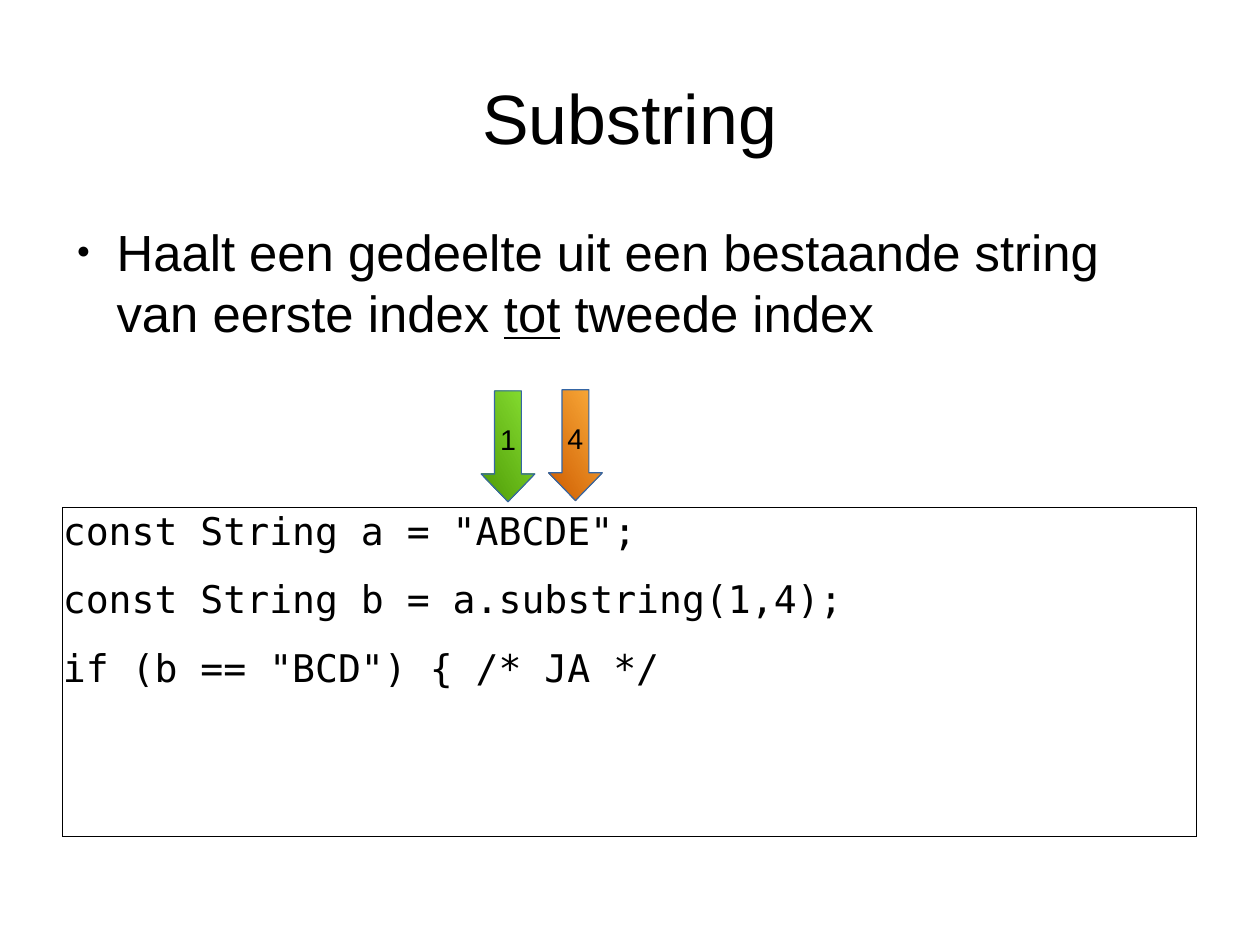
from lxml.etree import SubElement
from pptx import Presentation
from pptx.dml.color import RGBColor
from pptx.enum.shapes import MSO_SHAPE
from pptx.enum.text import MSO_ANCHOR, MSO_AUTO_SIZE, PP_ALIGN
from pptx.oxml.ns import qn
from pptx.util import Cm, Inches, Pt

TITLE = "Substring"
EXPLANATION = [
    ("Haalt een gedeelte uit een bestaande string van eerste index ", False),
    ("tot", True),
    (" tweede index", False),
]
CODE = [
    'const String a = "ABCDE";',
    "const String b = a.substring(1,4);",
    'if (b == "BCD") { /* JA */',
]

BLACK = RGBColor(0x00, 0x00, 0x00)
ARROW_LINE = RGBColor(0x34, 0x65, 0xA4)
GREENS = (RGBColor(0x8A, 0xE2, 0x34), RGBColor(0x4E, 0x9A, 0x06))
ORANGES = (RGBColor(0xFC, 0xAF, 0x3E), RGBColor(0xCE, 0x5C, 0x00))

# label, left, top, gradient colours
INDEX_ARROWS = [("1", 4.21, 3.42, GREENS), ("4", 4.8, 3.41, ORANGES)]

MARGIN, CONTENT_WIDTH = 0.55, 9.92
ARROW_WIDTH, ARROW_HEIGHT = 0.47, 0.97


def place(shape, top, height, anchor):
    """Span the content width and remove the text insets."""
    shape.left, shape.top = Inches(MARGIN), Inches(top)
    shape.width, shape.height = Inches(CONTENT_WIDTH), Inches(height)
    frame = shape.text_frame
    frame.margin_left = frame.margin_right = 0
    frame.margin_top = frame.margin_bottom = 0
    frame.vertical_anchor = anchor
    frame.auto_size = MSO_AUTO_SIZE.NONE
    frame.word_wrap = True


def format_runs(paragraph, size, font_name="Arial"):
    for run in paragraph.runs:
        run.font.size = Pt(size)
        run.font.name = font_name
        run.font.color.rgb = BLACK


def format_body(paragraph, left, indent):
    """Set spacing and indents, and return the properties for a bullet."""
    paragraph.space_before = Pt(0)
    paragraph.space_after = Pt(14.2)
    properties = paragraph._p.get_or_add_pPr()
    properties.set("marL", str(Inches(left)))
    properties.set("indent", str(Inches(indent)))
    return properties


def add_title(title):
    place(title, 0.33, 1.38, MSO_ANCHOR.MIDDLE)
    title.text_frame.text = TITLE
    paragraph = title.text_frame.paragraphs[0]
    paragraph.alignment = PP_ALIGN.CENTER
    format_runs(paragraph, 44)


def add_explanation(body):
    place(body, 1.93, 2.29, MSO_ANCHOR.TOP)
    paragraph = body.text_frame.paragraphs[0]
    for text, underlined in EXPLANATION:
        run = paragraph.add_run()
        run.text = text
        run.font.underline = underlined
    format_runs(paragraph, 32)
    properties = format_body(paragraph, 0.47, -0.35)
    colour = SubElement(properties, qn("a:buClr"))
    SubElement(colour, qn("a:srgbClr"), val=str(BLACK))
    SubElement(properties, qn("a:buSzPct"), val="45000")
    SubElement(properties, qn("a:buChar"), char="●")


def add_code(body):
    place(body, 4.44, 2.88, MSO_ANCHOR.TOP)
    body.line.color.rgb = BLACK
    body.line.width = Pt(0)
    body.text_frame.text = "\n".join(CODE)
    for paragraph in body.text_frame.paragraphs:
        format_runs(paragraph, 24, "DejaVu Sans Mono")
        SubElement(format_body(paragraph, 0, 0), qn("a:buNone"))


def add_index_arrow(slide, label, left, top, colours):
    arrow = slide.shapes.add_shape(
        MSO_SHAPE.DOWN_ARROW, Inches(left), Inches(top),
        Inches(ARROW_WIDTH), Inches(ARROW_HEIGHT))
    arrow.shadow.inherit = False
    arrow.adjustments[0] = 0.5
    arrow.adjustments[1] = 0.516
    arrow.fill.gradient()
    arrow.fill.gradient_angle = 210
    for stop, colour in zip(arrow.fill.gradient_stops, colours):
        stop.color.rgb = colour
    arrow.line.color.rgb = ARROW_LINE
    arrow.line.width = Pt(0)
    frame = arrow.text_frame
    frame.text = label
    frame.word_wrap = False
    frame.vertical_anchor = MSO_ANCHOR.MIDDLE
    paragraph = frame.paragraphs[0]
    paragraph.alignment = PP_ALIGN.CENTER
    format_runs(paragraph, 18)


def main():
    presentation = Presentation()
    presentation.slide_width = Cm(28)
    presentation.slide_height = Cm(21)
    two_content = presentation.slide_layouts.get_by_name("Two Content")
    slide = presentation.slides.add_slide(two_content)
    title, explanation, code = slide.placeholders
    add_title(title)
    add_explanation(explanation)
    add_code(code)
    for index_arrow in INDEX_ARROWS:
        add_index_arrow(slide, *index_arrow)
    presentation.save("out.pptx")


if __name__ == "__main__":
    main()
